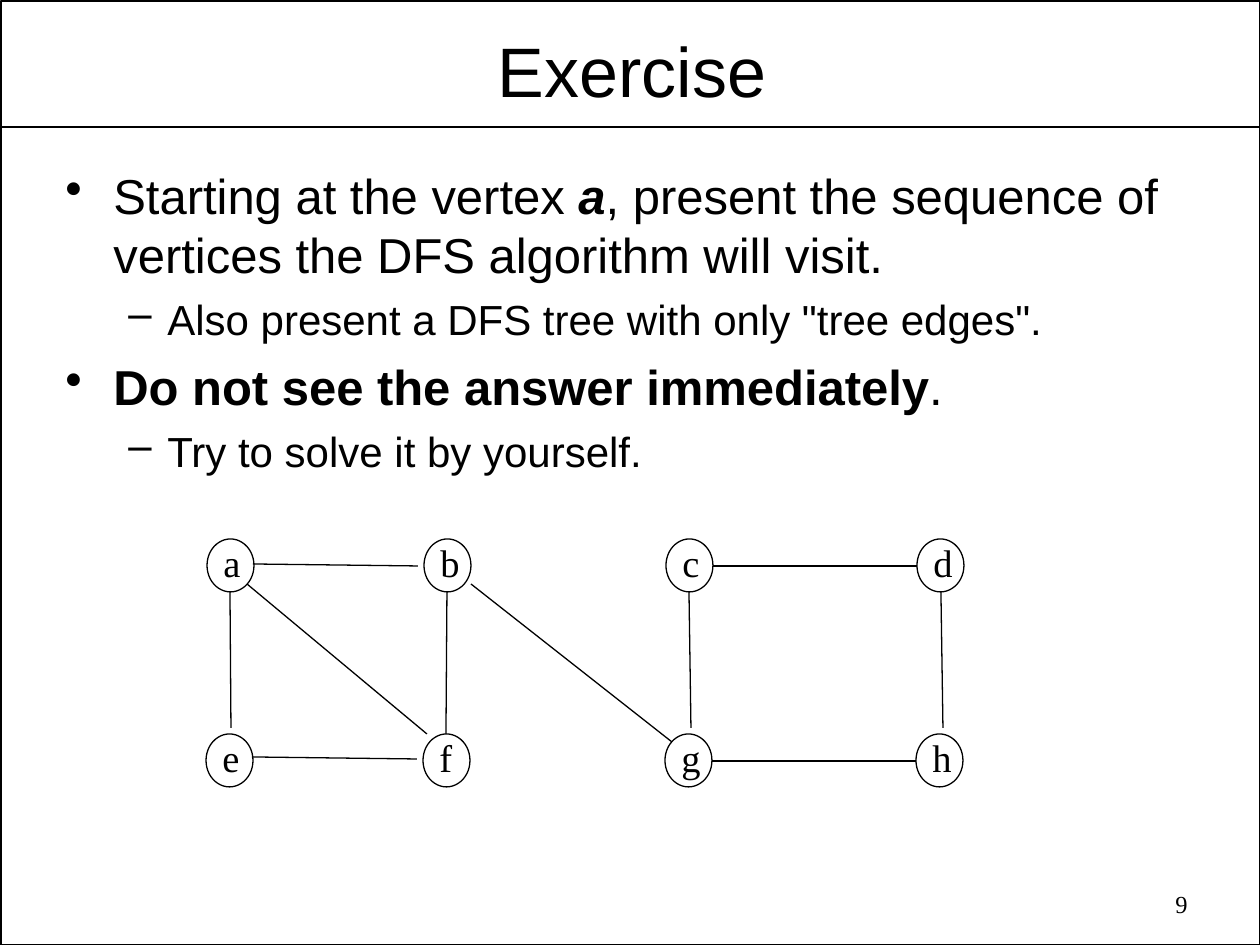
from pptx import Presentation
from pptx.dml.color import RGBColor
from pptx.enum.shapes import MSO_CONNECTOR, MSO_SHAPE
from pptx.enum.text import MSO_ANCHOR, PP_ALIGN
from pptx.oxml.ns import qn
from pptx.util import Pt
from lxml import etree

OVAL, RECT = MSO_SHAPE.OVAL, MSO_SHAPE.RECTANGLE
LINE = MSO_CONNECTOR.STRAIGHT
LEFT, MID, RIGHT = PP_ALIGN.LEFT, PP_ALIGN.CENTER, PP_ALIGN.RIGHT
PX = 914400 // 126
INK = {"line": "000000", "text": "000000"}

deck = Presentation()
deck.slide_width, deck.slide_height = 1260 * PX, 945 * PX
slide = deck.slides.add_slide(deck.slide_layouts[5])
shapes = slide.shapes


def draw(kind, a, b, c, d, width):
    """Draw a line from a, b to c, d, or an unfilled shape at a, b of size c, d."""
    box = [v * PX for v in (a, b, c, d)]
    if kind is LINE:  # members of the two enums can share a number
        item = shapes.add_connector(kind, *box)
        etree.SubElement(item._element.spPr, qn("a:effectLst"))
    else:
        item = shapes.add_shape(kind, *box)
        item.fill.background()
        item.shadow.inherit = False
    item.line.color.rgb = RGBColor.from_string(INK["line"])
    item.line.width = Pt(width)


def write(par, text, **form):
    """Add a run with the given font values."""
    run = par.add_run()
    run.text = text
    for key, val in form.items():
        setattr(run.font, key, val)
    run.font.color.rgb = RGBColor.from_string(INK["text"])


# Frame and rule under the title
draw(RECT, 1, 1, 1259, 944, 1)
draw(LINE, 1, 127, 1259, 127, 1)

# Title
title = shapes.title
title.left, title.top, title.width, title.height = [v * PX for v in (67, 24, 1130, 91)]
frame = title.text_frame
frame.vertical_anchor = MSO_ANCHOR.MIDDLE
frame.margin_left = frame.margin_right = 9 * PX
frame.margin_top = frame.margin_bottom = 4 * PX
frame.paragraphs[0].alignment = MID
write(frame.paragraphs[0], "Exercise", size=Pt(40), name="Arial")

# Bullets: level, then runs of text with their style
plain, bold = {"bold": False}, {"bold": True}
points = [
    (0, [("Starting at the vertex ", plain), ("a", {"bold": True, "italic": True}),
         (", present the sequence of vertices the DFS algorithm will visit.", plain)]),
    (1, [('Also present a DFS tree with only "tree edges".', plain)]),
    (0, [("Do not see the answer immediately", bold), (".", plain)]),
    (1, [("Try to solve it by yourself.", plain)]),
]
# Per level: bullet, indent and hang in px, size and space before in points
levels = [("•", 48, 48, 28, 7), ("–", 102, 39, 24, 6)]
frame = shapes.add_textbox(53 * PX, 159 * PX, 1155 * PX, 325 * PX).text_frame
frame.word_wrap = True
for num, (level, runs) in enumerate(points):
    mark, indent, hang, size, gap = levels[level]
    par = frame.add_paragraph() if num else frame.paragraphs[0]
    props = par._p.get_or_add_pPr()
    props.set("marL", str(indent * PX))
    props.set("indent", str(-hang * PX))
    etree.SubElement(props, qn("a:buChar"), char=mark)
    par.level = level
    par.space_before = Pt(gap if num else 0)
    for text, style in runs:
        write(par, text, size=Pt(size), name="Arial", **style)

# Graph nodes in two rows of four
cols, rows = (207, 424, 666, 917), (539, 734)
for row, (y, names) in enumerate(zip(rows, ("abcd", "efgh"))):
    for x, name in zip(cols, names):
        draw(OVAL, x - row, y, 47, 53, 0.75)
        wide = {"a": 42, "c": 42, "e": 42, "f": 38}.get(name, 44)
        label = shapes.add_textbox((x + 4 - row) * PX, (y - 6) * PX, wide * PX, 59 * PX)
        label.text_frame.word_wrap = False
        par = label.text_frame.paragraphs[0]
        par.alignment = LEFT
        write(par, name, size=Pt(22), name="Times New Roman")

# Graph edges
edges = [
    (253, 564, 418, 566), (252, 757, 417, 759), (231, 728, 230, 592),
    (247, 584, 427, 734), (446, 734, 447, 592), (471, 584, 672, 742),
    (713, 566, 917, 566), (943, 728, 941, 592), (712, 761, 916, 761),
    (689, 592, 691, 728),
]
for edge in edges:
    draw(LINE, *edge, 0.75)

# Page number
frame = shapes.add_textbox(905 * PX, 883 * PX, 295 * PX, 45 * PX).text_frame
frame.word_wrap = True
frame.paragraphs[0].alignment = RIGHT
write(frame.paragraphs[0], "9", size=Pt(14), name="Times New Roman")

deck.save("out.pptx")
